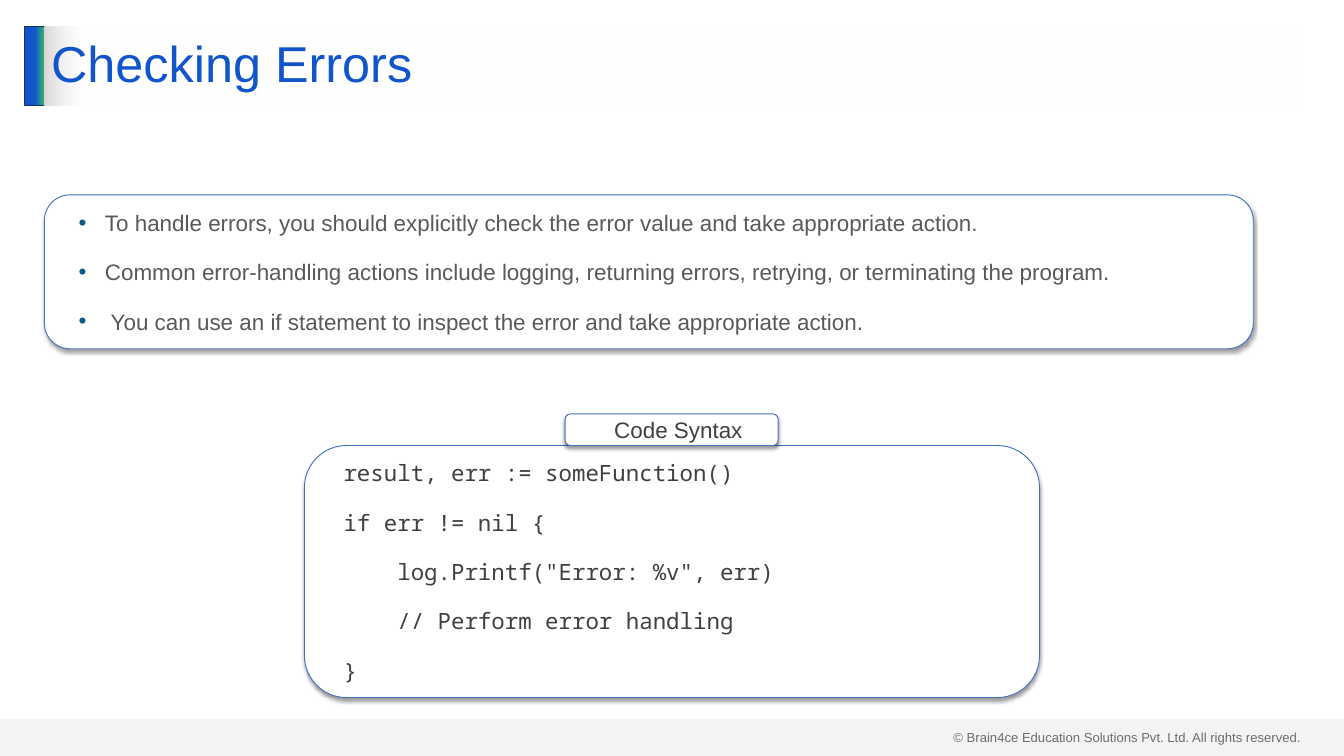
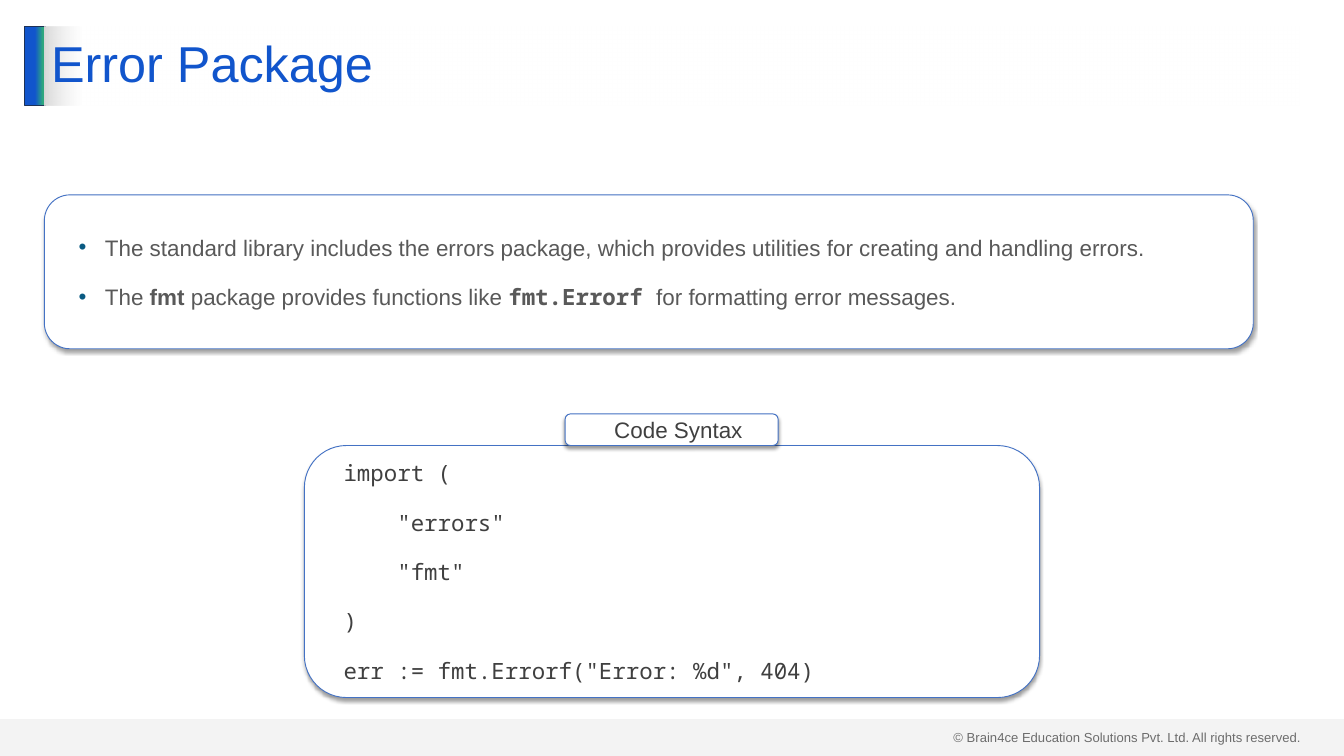
from lxml import etree
from pptx import Presentation
from pptx.dml.color import RGBColor
from pptx.enum.shapes import MSO_SHAPE
from pptx.enum.text import MSO_ANCHOR, MSO_AUTO_SIZE, PP_ALIGN
from pptx.oxml.ns import qn
from pptx.util import Pt

RECTANGLE = MSO_SHAPE.RECTANGLE
ROUNDED = MSO_SHAPE.ROUNDED_RECTANGLE
MIDDLE = MSO_ANCHOR.MIDDLE
NO_AUTOFIT = MSO_AUTO_SIZE.NONE
LEFT, CENTER = PP_ALIGN.LEFT, PP_ALIGN.CENTER

PX = 9144
SANS, MONO = "Arial", "Noto Sans Mono"
BLUE = RGBColor(0x11, 0x55, 0xCC)
GREEN = RGBColor(0x2E, 0xA8, 0x7D)
NAVY = RGBColor(0x1E, 0x32, 0x56)
OUTLINE = RGBColor(0x44, 0x72, 0xC4)
BULLET = RGBColor(0x09, 0x5A, 0x82)
DARK = RGBColor(0x40, 0x40, 0x40)
GREY = RGBColor(0x59, 0x59, 0x59)
SILVER = RGBColor(0xD9, 0xD9, 0xD9)
WHITE = RGBColor(0xFF, 0xFF, 0xFF)
BLACK = RGBColor(0, 0, 0)

SLIDE_SIZE = (2000, 1125)
TITLE_BOX = (66, 39, 1867, 118)
ACCENT_BOX = (37, 39, 30, 118)
FOOTER_BOX = (0, 1070, 2000, 55)
POINTS_BOX = (66, 290, 1799, 229)
CODE_BOX = (453, 663, 1094, 375)
TAG_SIZE = (317, 47)

SLIDES = [
    (
        "Checking Errors",
        [
            [("To handle errors, you should explicitly check the error value "
              "and take appropriate action.", None)],
            [("Common error-handling actions include logging, returning errors, "
              "retrying, or terminating the program.", None)],
            [(" You can use an if statement to inspect the error and take "
              "appropriate action.", None)],
        ],
        """result, err := someFunction()
if err != nil {
    log.Printf("Error: %v", err)
    // Perform error handling
}""",
    ),
    (
        "Error Package",
        [
            [("The standard library includes the errors package, which provides "
              "utilities for creating and handling errors.", None)],
            [("The ", None), ("fmt", SANS), (" package provides functions like ", None),
             ("fmt.Errorf ", MONO), ("for formatting error messages.", None)],
        ],
        """import (
    "errors"
    "fmt"
)
err := fmt.Errorf("Error: %d", 404)""",
    ),
]


def scaled(box):
    """Turn px lengths into EMU."""
    return [length * PX for length in box]


def add_color(parent, color, alpha=100):
    """Append an RGB colour with opacity in percent to an XML element."""
    element = etree.SubElement(parent, qn("a:srgbClr"), val=str(color))
    if alpha < 100:
        etree.SubElement(element, qn("a:alpha"), val=str(alpha * 1000))


def set_gradient(shape, stops):
    """Fill a shape from left to right with (percent, colour, opacity) stops."""
    shape.fill.gradient()
    shape.fill.gradient_angle = 0
    stop_list = shape.element.spPr.find(".//" + qn("a:gsLst"))
    for stop in list(stop_list):
        stop_list.remove(stop)
    for position, color, alpha in stops:
        stop = etree.SubElement(stop_list, qn("a:gs"), pos=str(position * 1000))
        add_color(stop, color, alpha)


def set_font(font, name, size, color):
    """Set the typeface, size and colour of a font."""
    font.name = name
    font.size = Pt(size)
    font.color.rgb = color


def add_plain(slide, kind, box):
    """Add a preset shape without a shadow."""
    shape = slide.shapes.add_shape(kind, *scaled(box))
    shape.shadow.inherit = False
    return shape


def add_footer(slide, box):
    """Add the copyright line and the translucent band over it."""
    left, top, width, height = box
    notice = slide.shapes.add_textbox(*scaled((left + 1409, top + 10, 541, 34)))
    notice.text_frame.word_wrap = True
    paragraph = notice.text_frame.paragraphs[0]
    paragraph.text = "© Brain4ce Education Solutions Pvt. Ltd. All rights reserved."
    set_font(paragraph.font, SANS, 14, DARK)
    band = add_plain(slide, RECTANGLE, box)
    band.fill.solid()
    band.fill.fore_color.rgb = SILVER
    color = band.element.spPr.find(".//" + qn("a:srgbClr"))
    etree.SubElement(color, qn("a:alpha"), val="29000")
    band.line.fill.background()
    return [notice, band]


def add_accent(slide, box):
    """Add the gradient bar beside the title."""
    accent = add_plain(slide, RECTANGLE, box)
    set_gradient(accent, [(51, BLUE, 100), (90, GREEN, 100), (100, GREEN, 100)])
    accent.line.color.rgb = NAVY
    accent.line.width = Pt(1)
    return accent


def share_decoration(slide, layout):
    """Build the common parts once and move them to the layout."""
    parts = add_footer(slide, FOOTER_BOX) + [add_accent(slide, ACCENT_BOX)]
    for number, shape in enumerate(parts, 101):
        shape.element.nvSpPr.cNvPr.set("id", str(number))
        layout.shapes.element.append(shape.element)


def format_title(slide, text, box):
    """Place and format the title placeholder."""
    title = slide.shapes.title
    title.left, title.top, title.width, title.height = scaled(box)
    set_gradient(title, [(0, SILVER, 100), (3, WHITE, 50)])
    frame = title.text_frame
    frame.text = text
    frame.vertical_anchor = MIDDLE
    frame.auto_size = NO_AUTOFIT
    paragraph = frame.paragraphs[0]
    paragraph.alignment = LEFT
    paragraph.line_spacing = 0.9
    set_font(paragraph.font, SANS, 54, BLUE)


def add_panel(slide, box):
    """Add a white rounded panel with a soft shadow and return its text frame."""
    panel = add_plain(slide, ROUNDED, box)
    panel.fill.solid()
    panel.fill.fore_color.rgb = WHITE
    panel.line.color.rgb = OUTLINE
    panel.line.width = Pt(1)
    effects = panel.element.spPr.find(qn("a:effectLst"))
    shadow = etree.SubElement(effects, qn("a:outerShdw"), blurRad=str(Pt(4)),
                              dist=str(Pt(3)), dir="5400000", rotWithShape="0")
    add_color(shadow, BLACK, 40)
    frame = panel.text_frame
    frame.word_wrap = True
    frame.vertical_anchor = MIDDLE
    frame.margin_left = frame.margin_right = 20 * PX
    frame.margin_top = frame.margin_bottom = 10 * PX
    return frame


def write_lines(frame, lines, name, color, alignment=LEFT, bulleted=False):
    """Write lines of (text, bold typeface or None) runs as spaced paragraphs."""
    for index, runs in enumerate(lines):
        paragraph = frame.add_paragraph() if index else frame.paragraphs[0]
        paragraph.level = 1
        paragraph.alignment = alignment
        properties = paragraph._p.get_or_add_pPr()
        properties.set("marL", str((59 if bulleted else 20) * PX))
        properties.set("indent", str((-39 if bulleted else 0) * PX))
        if bulleted:
            add_color(etree.SubElement(properties, qn("a:buClr")), BULLET)
            etree.SubElement(properties, qn("a:buFont"), typeface=SANS)
            etree.SubElement(properties, qn("a:buChar"), char="•")
        paragraph.line_spacing = Pt(28.8)
        paragraph.space_before = Pt(24 if index else 0)
        set_font(paragraph.font, name, 24, color)
        for text, bold_name in runs:
            run = paragraph.add_run()
            run.text = text
            if bold_name:
                run.font.name = bold_name
                run.font.bold = True


def add_points(slide, points, box):
    """Add the panel of bulleted points."""
    write_lines(add_panel(slide, box), points, SANS, GREY, bulleted=True)


def add_code(slide, code, box):
    """Add the code panel with its tag centred on the top edge."""
    left, top, width, height = box
    lines = [[(line, None)] for line in code.splitlines()]
    write_lines(add_panel(slide, box), lines, MONO, DARK)
    tag_width, tag_height = TAG_SIZE
    tag_box = (left + (width - tag_width) // 2, top - tag_height, tag_width, tag_height)
    write_lines(add_panel(slide, tag_box), [[("Code Syntax", None)]], SANS, DARK, CENTER)


def main():
    """Build and save the presentation."""
    presentation = Presentation()
    presentation.slide_width, presentation.slide_height = scaled(SLIDE_SIZE)
    layout = presentation.slide_layouts[5]
    for index, (title, points, code) in enumerate(SLIDES):
        slide = presentation.slides.add_slide(layout)
        if index == 0:
            share_decoration(slide, layout)
        format_title(slide, title, TITLE_BOX)
        add_points(slide, points, POINTS_BOX)
        add_code(slide, code, CODE_BOX)
    presentation.save("out.pptx")


if __name__ == "__main__":
    main()
